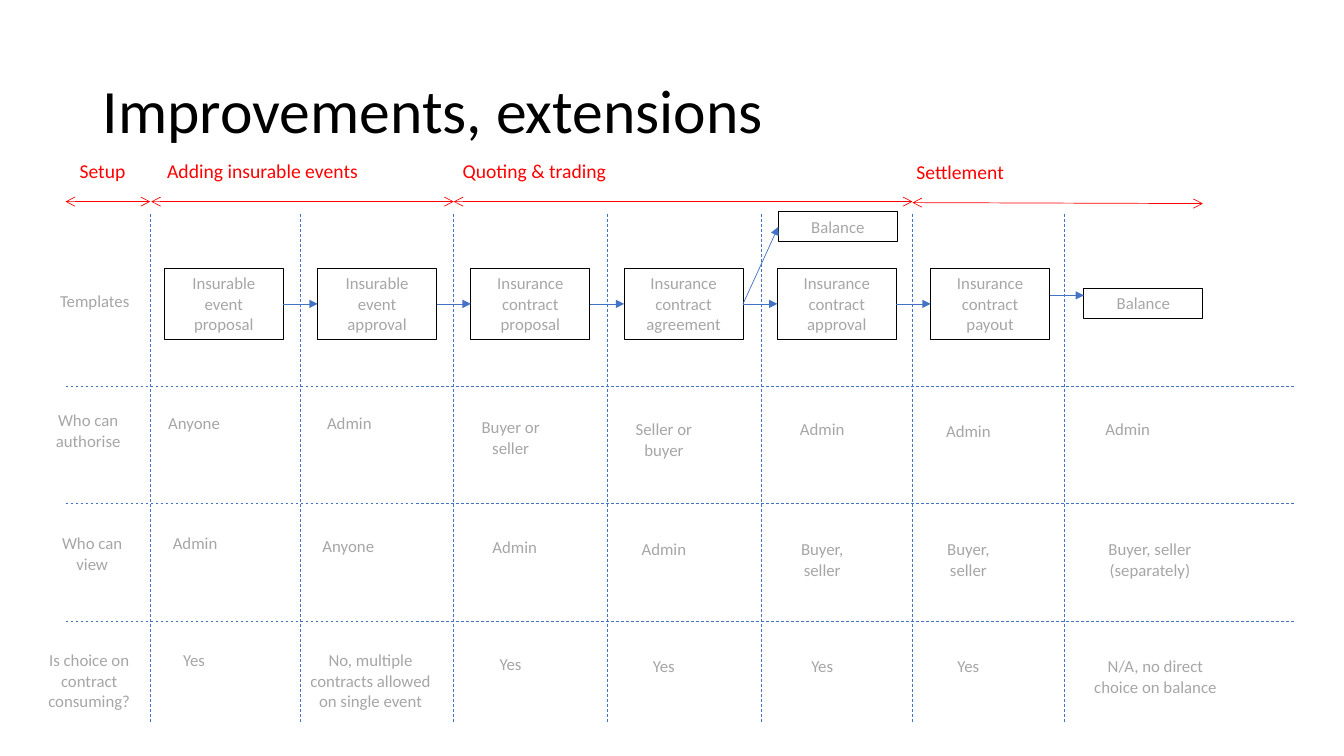
import dataclasses
import typing

import pptx
import pptx.dml.color
import pptx.enum.dml
import pptx.enum.shapes
import pptx.enum.text
import pptx.oxml.ns
import pptx.oxml.xmlchemy
import pptx.shapes.autoshape
import pptx.shapes.connector
import pptx.slide
import pptx.text.text
import pptx.util

EMU_PER_PX = 9144
FONT = "Calibri"
BLACK, GREY, BLUE, RED = "000000", "A6A6A6", "4472C4", "FF0000"
LINE_HEIGHTS = {1: 30, 2: 50, 3: 71}
CENTER = pptx.enum.text.PP_ALIGN.CENTER
LEFT = pptx.enum.text.PP_ALIGN.LEFT
DASH = pptx.enum.dml.MSO_LINE.DASH
TEXT_FRAME_FORMAT = {
    "word_wrap": True,
    "auto_size": pptx.enum.text.MSO_AUTO_SIZE.SHAPE_TO_FIT_TEXT,
    "vertical_anchor": pptx.enum.text.MSO_ANCHOR.TOP,
}
BOX_WIDTH, BOX_HEIGHT, BOX_TOP = 118, 71, 266
FIRST_BOX_LEFT, BOX_STEP = 163, 152
GRID_TOP, GRID_BOTTOM, GRID_LEFT, GRID_RIGHT = 212, 716, 65, 1284
COLUMN_LINES = [149, 298, 450, 602, 755, 905, 1056]
ROW_LINES = [383, 499, 616]


@dataclasses.dataclass(frozen=True)
class Label:
    text: str
    left: int
    top: int
    width: int = 87
    lines: int = 1


@dataclasses.dataclass(frozen=True)
class Phase:
    name: str
    left: int
    top: int
    width: int
    start: tuple[int, int]
    end: tuple[int, int]


PHASES = [
    Phase("Setup", 69, 153, 71, (65, 200), (149, 200)),
    Phase("Adding insurable events", 156, 153, 277, (150, 200), (450, 200)),
    Phase("Quoting & trading", 449, 153, 277, (450, 200), (905, 200)),
    Phase("Settlement", 899, 154, 277, (905, 201), (1193, 202)),
]
TEMPLATES = [
    "Insurable event proposal",
    "Insurable event approval",
    "Insurance contract proposal",
    "Insurance contract agreement",
    "Insurance contract\napproval",
    "Insurance contract payout",
]
LABELS = [
    Label("Templates", 48, 284, 92),
    Label("Who can authorise", 44, 402, lines=2),
    Label("Anyone", 149, 405),
    Label("Admin", 303, 405),
    Label("Buyer or seller", 463, 409, lines=2),
    Label("Seller or buyer", 615, 411, lines=2),
    Label("Admin", 772, 411),
    Label("Admin", 917, 412),
    Label("Admin", 1075, 411),
    Label("Who can view", 48, 524, lines=2),
    Label("Admin", 150, 524),
    Label("Anyone", 302, 527),
    Label("Admin", 467, 528),
    Label("Admin", 615, 530),
    Label("Buyer, seller", 772, 530, lines=2),
    Label("Buyer, seller", 917, 530, lines=2),
    Label("Buyer, seller (separately)", 1075, 530, 131, 2),
    Label("Is choice on contract consuming?", 37, 640, 103, 3),
    Label("Yes", 149, 640),
    Label("No, multiple contracts allowed on single event", 297, 640, 141, 3),
    Label("Yes", 463, 644),
    Label("Yes", 615, 646),
    Label("Yes", 772, 646),
    Label("Yes", 917, 646),
    Label("N/A, no direct choice on balance", 1075, 646, 142, 2),
]


def px(length: int) -> pptx.util.Emu:
    return pptx.util.Emu(length * EMU_PER_PX)


def rgb(color: str) -> pptx.dml.color.RGBColor:
    return pptx.dml.color.RGBColor.from_string(color)


def apply_format(target: typing.Any, values: dict[str, typing.Any]) -> None:
    for name, value in values.items():
        setattr(target, name, value)


def write(frame: pptx.text.text.TextFrame, text: str, size: int, color: str,
          alignment: pptx.enum.text.PP_ALIGN) -> None:
    frame.text = text
    for paragraph in frame.paragraphs:
        paragraph.alignment = alignment
        for run in paragraph.runs:
            apply_format(run.font, {"name": FONT, "size": pptx.util.Pt(size)})
            run.font.color.rgb = rgb(color)


def add_title(slide: pptx.slide.Slide, text: str) -> None:
    title = slide.shapes.title
    apply_format(title, {"left": px(92), "top": px(40), "width": px(1150), "height": px(145)})
    title.text_frame.vertical_anchor = pptx.enum.text.MSO_ANCHOR.MIDDLE
    write(title.text_frame, text, 44, BLACK, LEFT)
    title.text_frame.paragraphs[0].line_spacing = 0.9


def add_text(slide: pptx.slide.Slide, text: str, left: int, top: int, width: int, height: int,
             size: int, color: str, alignment: pptx.enum.text.PP_ALIGN) -> None:
    text_box = slide.shapes.add_textbox(px(left), px(top), px(width), px(height))
    apply_format(text_box.text_frame, TEXT_FRAME_FORMAT)
    write(text_box.text_frame, text, size, color, alignment)


def add_box(slide: pptx.slide.Slide, text: str, left: int, top: int,
            height: int) -> pptx.shapes.autoshape.Shape:
    box = slide.shapes.add_shape(pptx.enum.shapes.MSO_SHAPE.RECTANGLE,
                                 px(left), px(top), px(BOX_WIDTH), px(height))
    box.shadow.inherit = False
    box.fill.background()
    box.line.color.rgb = rgb(BLACK)
    box.line.width = pptx.util.Pt(0.75)
    apply_format(box.text_frame, TEXT_FRAME_FORMAT)
    write(box.text_frame, text, 12, GREY, CENTER)
    return box


def add_line(slide: pptx.slide.Slide, start: tuple[int, int], end: tuple[int, int], color: str,
             dash: typing.Optional[pptx.enum.dml.MSO_LINE] = None,
             head: str = "", tail: str = "") -> pptx.shapes.connector.Connector:
    connector = slide.shapes.add_connector(
        pptx.enum.shapes.MSO_CONNECTOR.STRAIGHT, *map(px, start + end))
    connector.line.color.rgb = rgb(color)
    apply_format(connector.line, {"width": pptx.util.Pt(0.5), "dash_style": dash})
    properties = connector.element.spPr
    outline = properties.find(pptx.oxml.ns.qn("a:ln"))
    for tag, arrow in (("a:headEnd", head), ("a:tailEnd", tail)):
        if arrow:
            outline.append(pptx.oxml.xmlchemy.OxmlElement(tag))
            outline[-1].set("type", arrow)
    properties.append(pptx.oxml.xmlchemy.OxmlElement("a:effectLst"))
    return connector


def join_boxes(slide: pptx.slide.Slide, source: pptx.shapes.autoshape.Shape,
               target: pptx.shapes.autoshape.Shape) -> None:
    connector = add_line(slide, (0, 0), (0, 0), BLUE, tail="triangle")
    connector.begin_connect(source, 3)
    connector.end_connect(target, 1)


def main() -> None:
    presentation = pptx.Presentation()
    apply_format(presentation, {"slide_width": px(1333), "slide_height": px(750)})
    slide = presentation.slides.add_slide(presentation.slide_layouts[5])
    add_title(slide, "Improvements, extensions")

    boxes = [add_box(slide, text, FIRST_BOX_LEFT + index * BOX_STEP, BOX_TOP, BOX_HEIGHT)
             for index, text in enumerate(TEMPLATES)]
    trading_balance = add_box(slide, "Balance", 772, 210, 30)
    add_box(slide, "Balance", 1075, 286, 30)
    for source, target in zip(boxes, boxes[1:]):
        join_boxes(slide, source, target)
    join_boxes(slide, boxes[3], trading_balance)
    add_line(slide, (1041, 293), (1075, 293), BLUE, tail="triangle")

    for x in COLUMN_LINES:
        add_line(slide, (x, GRID_TOP), (x, GRID_BOTTOM), BLUE, DASH)
    for y in ROW_LINES:
        add_line(slide, (GRID_LEFT, y), (GRID_RIGHT, y), BLUE, DASH)

    for label in LABELS:
        add_text(slide, label.text, label.left, label.top, label.width,
                 LINE_HEIGHTS[label.lines], 12, GREY, CENTER)
    for phase in PHASES:
        add_line(slide, phase.start, phase.end, RED, head="arrow", tail="arrow")
        add_text(slide, phase.name, phase.left, phase.top, phase.width, 34, 14, RED, LEFT)

    presentation.save("out.pptx")


if __name__ == "__main__":
    main()
